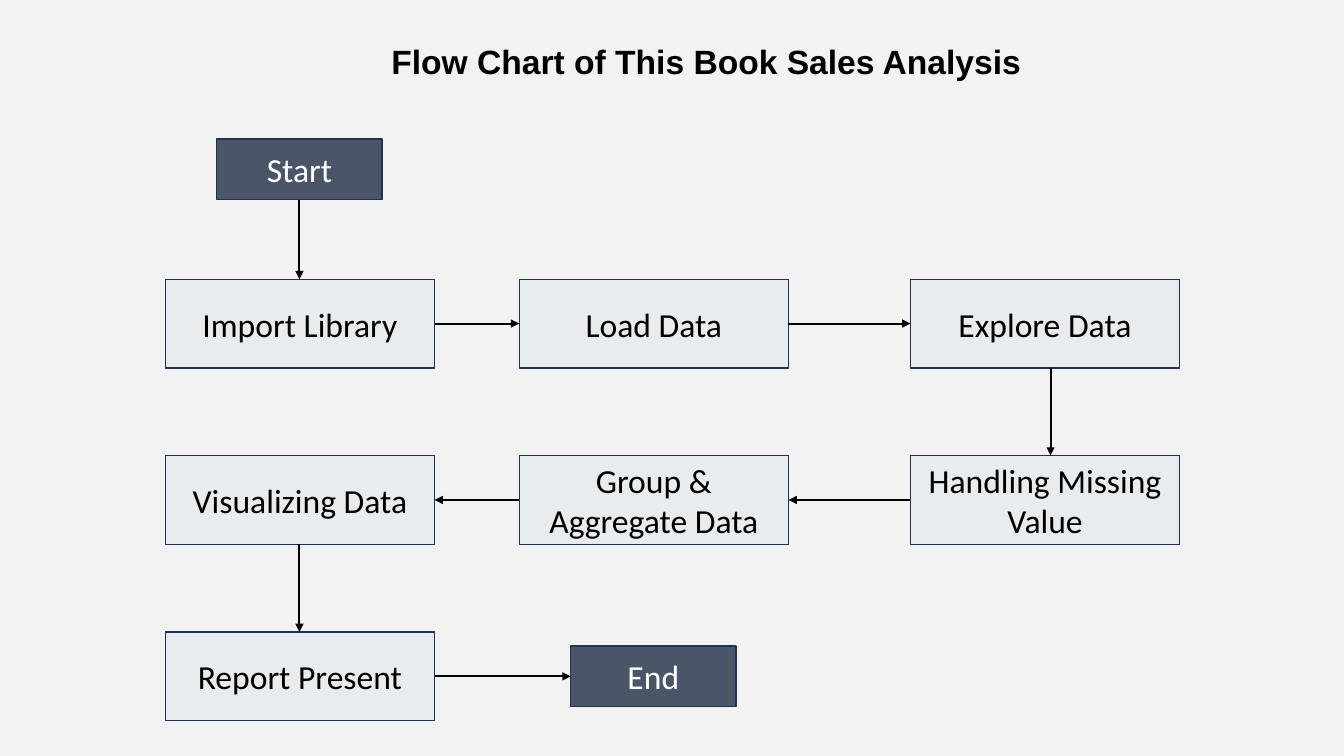
from lxml.etree import SubElement
from pptx import Presentation
from pptx.dml.color import RGBColor
from pptx.enum.shapes import MSO_CONNECTOR, MSO_SHAPE
from pptx.enum.text import MSO_ANCHOR, PP_ALIGN
from pptx.oxml.ns import qn
from pptx.util import Pt

SCALE = 9144
BACK = RGBColor(0xF2, 0xF2, 0xF2)
DARK = RGBColor(0x4A, 0x55, 0x68)
PALE = RGBColor(0xE8, 0xEC, 0xEF)
NAVY = RGBColor(0x1E, 0x32, 0x56)
BLACK = RGBColor(0, 0, 0)
WHITE = RGBColor(0xFF, 0xFF, 0xFF)

STEP = {"name": "Calibri", "size": Pt(24)}
HEAD = {"name": "Arial", "size": Pt(24), "bold": True}

COLS = (164, 515, 903)
ROWS = [277 + 175 * row for row in range(3)]
WIDE, HIGH = 267, 88
CAP_WIDE, CAP_HIGH = 164, 60
START_TOP = 138

STEPS = (
    ("Import Library", 0, 0),
    ("Load Data", 1, 0),
    ("Explore Data", 2, 0),
    ("Handling Missing Value", 2, 1),
    ("Group & Aggregate Data", 1, 1),
    ("Visualizing Data", 0, 1),
    ("Report Present", 0, 2),
)


def px(*sizes):
    return [size * SCALE for size in sizes]


def put_text(shape, text, style, color):
    frame = shape.text_frame
    frame.word_wrap = True
    frame.vertical_anchor = MSO_ANCHOR.MIDDLE
    para = frame.paragraphs[0]
    para.alignment = PP_ALIGN.CENTER
    run = para.add_run()
    run.text = text
    for key, value in style.items():
        setattr(run.font, key, value)
    run.font.color.rgb = color


def add_box(slide, text, area, fill, color):
    box = slide.shapes.add_shape(MSO_SHAPE.RECTANGLE, *px(*area))
    box.shadow.inherit = False
    box.fill.solid()
    box.fill.fore_color.rgb = fill
    box.line.color.rgb = NAVY
    box.line.width = Pt(1)
    put_text(box, text, STEP, color)


def add_cap(slide, text, left, top):
    add_box(slide, text, (left, top, CAP_WIDE, CAP_HIGH), DARK, WHITE)


def add_arrow(slide, *ends):
    arrow = slide.shapes.add_connector(MSO_CONNECTOR.STRAIGHT, *px(*ends))
    arrow.line.color.rgb = BLACK
    arrow.line.width = Pt(1.5)
    props = arrow.element.spPr
    SubElement(props.find(qn("a:ln")), qn("a:tailEnd"), type="triangle")
    SubElement(props, qn("a:effectLst"))


def add_title(slide, text, area):
    title = slide.shapes.add_textbox(*px(*area))
    put_text(title, text, HEAD, BLACK)


def main():
    deck = Presentation()
    deck.slide_width, deck.slide_height = px(1333, 750)
    slide = deck.slides.add_slide(deck.slide_layouts[6])
    slide.background.fill.solid()
    slide.background.fill.fore_color.rgb = BACK

    add_title(slide, "Flow Chart of This Book Sales Analysis", (365, 36, 671, 50))
    for text, col, row in STEPS:
        add_box(slide, text, (COLS[col], ROWS[row], WIDE, HIGH), PALE, BLACK)

    inset = (WIDE - CAP_WIDE) // 2
    end_top = ROWS[2] + (HIGH - CAP_HIGH) // 2
    add_cap(slide, "Start", COLS[0] + inset, START_TOP)
    add_cap(slide, "End", COLS[1] + inset, end_top)

    first, last = 297, 1042
    add_arrow(slide, first, START_TOP + CAP_HIGH, first, ROWS[0])
    add_arrow(slide, last, ROWS[0] + HIGH, last, ROWS[1])
    add_arrow(slide, first, ROWS[1] + HIGH, first, ROWS[2])

    mids = [top + HIGH // 2 for top in ROWS]
    for left, right in zip(COLS, COLS[1:]):
        add_arrow(slide, left + WIDE, mids[0], right, mids[0])
        add_arrow(slide, right, mids[1], left + WIDE, mids[1])
    add_arrow(slide, COLS[0] + WIDE, mids[2], COLS[1] + inset, mids[2])

    deck.save("out.pptx")


if __name__ == "__main__":
    main()
